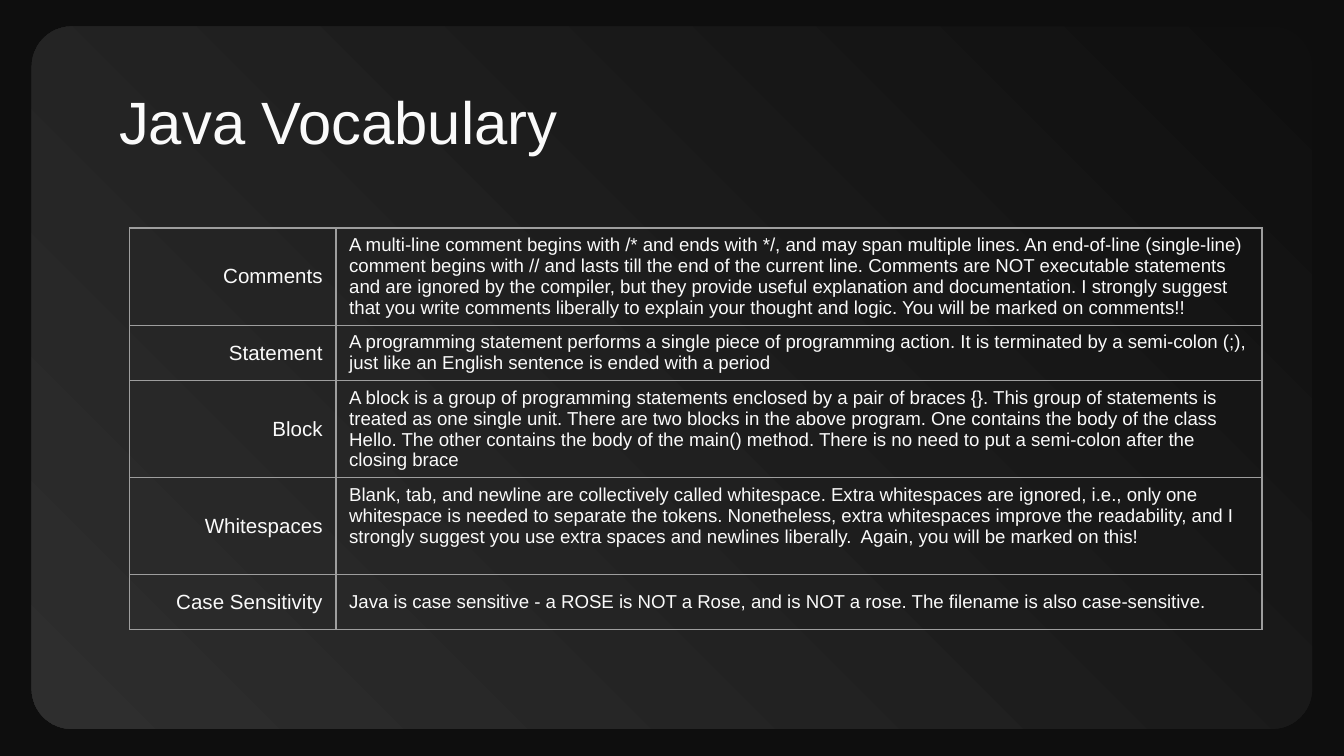
import pptx
import pptx.util
import pptx.dml.color
import pptx.enum.shapes
import pptx.enum.text
import pptx.oxml
import pptx.oxml.ns
from pptx.util import Cm

COLOURS = {
    "backdrop": "0E0E0E",
    "panel_dark": "0F0F0F",
    "panel_light": "2E2E2E",
    "text": "FAFAFA",
    "border": "9E9E9E",
}
FONT = "Arial"
MIDDLE = pptx.enum.text.MSO_ANCHOR.MIDDLE
TOP = pptx.enum.text.MSO_ANCHOR.TOP
LEFT = pptx.enum.text.PP_ALIGN.LEFT
RIGHT = pptx.enum.text.PP_ALIGN.RIGHT
SHORT_ROW, TALL_ROW = Cm(1.04), Cm(1.83)

VOCABULARY = [
    ("Comments", TALL_ROW, MIDDLE,
     "A multi-line comment begins with /* and ends with */, and may span multiple lines. "
     "An end-of-line (single-line) comment begins with // and lasts till the end of the "
     "current line. Comments are NOT executable statements and are ignored by the compiler, "
     "but they provide useful explanation and documentation. I strongly suggest that you "
     "write comments liberally to explain your thought and logic. "
     "You will be marked on comments!!"),
    ("Statement", SHORT_ROW, MIDDLE,
     "A programming statement performs a single piece of programming action. It is "
     "terminated by a semi-colon (;), just like an English sentence is ended with a period"),
    ("Block", TALL_ROW, MIDDLE,
     "A block is a group of programming statements enclosed by a pair of braces {}. This "
     "group of statements is treated as one single unit. There are two blocks in the above "
     "program. One contains the body of the class Hello. The other contains the body of the "
     "main() method. There is no need to put a semi-colon after the closing brace"),
    ("Whitespaces", TALL_ROW, TOP,
     "Blank, tab, and newline are collectively called whitespace. Extra whitespaces are "
     "ignored, i.e., only one whitespace is needed to separate the tokens. Nonetheless, "
     "extra whitespaces improve the readability, and I strongly suggest you use extra "
     "spaces and newlines liberally.  Again, you will be marked on this!"),
    ("Case Sensitivity", SHORT_ROW, MIDDLE,
     "Java is case sensitive - a ROSE is NOT a Rose, and is NOT a rose. "
     "The filename is also case-sensitive."),
]


def colour(name):
    """Return the named colour as an RGB value."""
    return pptx.dml.color.RGBColor.from_string(COLOURS[name])


def format_paragraph(paragraph, size, alignment):
    """Set the font and alignment of a paragraph."""
    paragraph.alignment = alignment
    paragraph.font.name = FONT
    paragraph.font.size = pptx.util.Pt(size)
    paragraph.font.color.rgb = colour("text")


def add_title(slide, text):
    """Place and format the title placeholder."""
    title = slide.shapes.title
    title.left, title.top, title.width, title.height = Cm(2), Cm(1.25), Cm(21.4), Cm(1.6)
    frame = title.text_frame
    frame.text = text
    frame.auto_size = pptx.enum.text.MSO_AUTO_SIZE.NONE
    frame.vertical_anchor = TOP
    frame.margin_left = frame.margin_right = frame.margin_bottom = Cm(0.25)
    frame.margin_top = Cm(0.36)
    format_paragraph(frame.paragraphs[0], 32, LEFT)


def add_panel(slide):
    """Add the rounded gradient panel behind the title."""
    panel = slide.shapes.add_shape(
        pptx.enum.shapes.MSO_SHAPE.ROUNDED_RECTANGLE, Cm(0.6), Cm(0.5), Cm(24.2), Cm(13.28))
    panel.adjustments[0] = 0.057
    panel.shadow.inherit = False
    panel.line.fill.background()
    panel.fill.gradient()
    panel.fill.gradient_angle = 225
    for stop, name, position in zip(
            panel.fill.gradient_stops, ("panel_dark", "panel_light"), (0, 1)):
        stop.color.rgb = colour(name)
        stop.position = position
    slide.shapes.title._element.addprevious(panel._element)


def add_borders(cell):
    """Draw a thin line on all four sides of a cell."""
    properties = cell._tc.get_or_add_tcPr()
    for index, side in enumerate(("lnL", "lnR", "lnT", "lnB")):
        line = pptx.oxml.parse_xml(
            f'<a:{side} {pptx.oxml.ns.nsdecls("a")} w="{pptx.util.Pt(0.75)}"><a:solidFill>'
            f'<a:srgbClr val="{COLOURS["border"]}"/></a:solidFill></a:{side}>')
        properties.insert(index, line)


def fill_cell(cell, text, size, alignment, anchor):
    """Write one cell and set its look."""
    cell.text = text
    cell.fill.background()
    cell.vertical_anchor = anchor
    cell.margin_left = cell.margin_right = Cm(0.25)
    cell.margin_top = cell.margin_bottom = Cm(0.13)
    format_paragraph(cell.text_frame.paragraphs[0], size, alignment)
    add_borders(cell)


def add_vocabulary_table(slide):
    """Add the table of terms and definitions."""
    widths = Cm(3.9), Cm(17.5)
    height = sum(entry[1] for entry in VOCABULARY)
    table = slide.shapes.add_table(
        len(VOCABULARY), 2, Cm(2.45), Cm(4.31), sum(widths), height).table
    table.first_row = table.horz_banding = False
    for column, width in zip(table.columns, widths):
        column.width = width
    for row, (term, row_height, anchor, definition) in zip(table.rows, VOCABULARY):
        row.height = row_height
        fill_cell(row.cells[0], term, 11, RIGHT, MIDDLE)
        fill_cell(row.cells[1], definition, 10, LEFT, anchor)


def main():
    """Build and save the deck."""
    deck = pptx.Presentation()
    deck.slide_width, deck.slide_height = Cm(25.4), Cm(14.29)
    slide = deck.slides.add_slide(deck.slide_layouts[5])
    slide.background.fill.solid()
    slide.background.fill.fore_color.rgb = colour("backdrop")
    add_title(slide, "Java Vocabulary")
    add_panel(slide)
    add_vocabulary_table(slide)
    deck.save("out.pptx")


if __name__ == "__main__":
    main()
